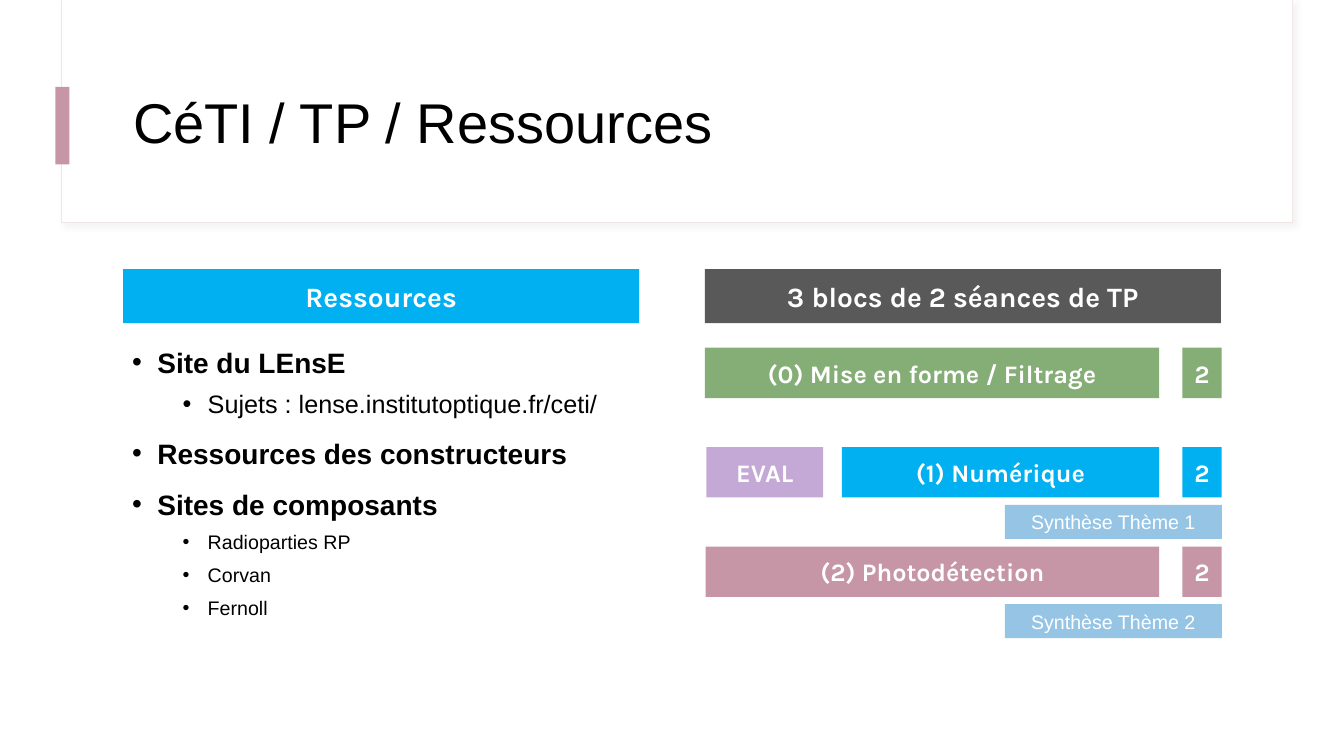
from dataclasses import dataclass
from typing import Any

from lxml.etree import SubElement as Sub
from pptx import Presentation
from pptx.dml.color import RGBColor as Rgb
from pptx.enum.shapes import MSO_SHAPE as Kind
from pptx.enum.text import MSO_ANCHOR as Anchor, MSO_AUTO_SIZE as Fit, PP_ALIGN as Align
from pptx.oxml.ns import qn
from pptx.util import Pt

WHITE, BLACK, GREY = "FFFFFF", "000000", "595959"
BLUE, GREEN, PINK = "00B0F0", "85AD76", "C696A7"


@dataclass
class Box:
    left: float
    top: float
    width: float
    height: float
    fill: str
    text: str = ""
    size: int = 18
    face: str = "Karla"
    bold: bool = True
    alpha: int = 100
    inset: float = 7.2


@dataclass
class Item:
    text: str
    size: int
    level: int = 0


def paint(color: Any, code: str) -> None:
    color.rgb = Rgb.from_string(code)


def apply(target: Any, form: dict[str, Any]) -> None:
    for name, value in form.items():
        setattr(target, name, value)


def style(font: Any, face: str, size: int, bold: bool, code: str) -> None:
    apply(font, {"name": face, "size": Pt(size), "bold": bold})
    paint(font.color, code)


def place(shape: Any, left: float, top: float, width: float, height: float) -> None:
    apply(shape, {"left": Pt(left), "top": Pt(top),
                  "width": Pt(width), "height": Pt(height)})


def fade(color: Any, alpha: int) -> None:
    Sub(color, qn("a:alpha"), val=str(alpha * 1000))


def draw(shapes: Any, box: Box) -> Any:
    shape = shapes.add_shape(Kind.RECTANGLE, Pt(box.left), Pt(box.top),
                             Pt(box.width), Pt(box.height))
    shape.shadow.inherit = False
    shape.fill.solid()
    paint(shape.fill.fore_color, box.fill)
    shape.line.fill.background()
    if box.alpha < 100:
        fade(shape.element.spPr.find(qn("a:solidFill"))[0], box.alpha)
    if box.text:
        frame = shape.text_frame
        apply(frame, {"word_wrap": True, "vertical_anchor": Anchor.MIDDLE,
                      "margin_left": Pt(7.2), "margin_right": Pt(7.2),
                      "margin_top": Pt(box.inset), "margin_bottom": Pt(box.inset)})
        para = frame.paragraphs[0]
        apply(para, {"text": box.text, "alignment": Align.CENTER})
        style(para.runs[0].font, box.face, box.size, box.bold, WHITE)
    return shape


def shade(shape: Any) -> None:
    effects = shape.element.spPr.find(qn("a:effectLst"))
    outer = Sub(effects, qn("a:outerShdw"), blurRad=str(Pt(4)), dist=str(Pt(3)),
                dir="2700000", algn="tl", rotWithShape="0")
    fade(Sub(outer, qn("a:srgbClr"), val="D9D9D9"), 30)


def write(frame: Any, items: list[Item]) -> None:
    for i, item in enumerate(items):
        para = frame.paragraphs[0] if i == 0 else frame.add_paragraph()
        apply(para, {"text": item.text, "level": item.level})
        props = para._p.get_or_add_pPr()
        apply_indent = {"marL": Pt(18 + 36 * item.level), "indent": Pt(-18)}
        for name, value in apply_indent.items():
            props.set(name, str(int(value)))
        Sub(props, qn("a:buFont"), typeface="Arial")
        Sub(props, qn("a:buChar"), char="•")
        before = 0 if i == 0 else 5 if item.level else 10
        apply(para, {"line_spacing": 1.1, "space_before": Pt(before),
                     "space_after": Pt(0), "alignment": Align.LEFT})
        style(para.runs[0].font, "Arial", item.size, item.level == 0, BLACK)


def main() -> None:
    deck = Presentation()
    apply(deck, {"slide_width": Pt(960), "slide_height": Pt(540)})
    slide = deck.slides.add_slide(deck.slide_layouts[1])
    shapes = slide.shapes
    title, body = shapes.title, slide.placeholders[1]

    # Header band, with title and list in front of it
    band = draw(shapes, Box(44, 0, 879, 159, WHITE))
    paint(band.line.color, "F0E5E5")
    band.line.width = Pt(0.75)
    shade(band)
    draw(shapes, Box(44.6, 0, 878.4, 158.4, WHITE))
    draw(shapes, Box(39.6, 62, 10, 55.5, PINK))
    for holder in (title, body):
        shapes.element.append(holder.element)

    # Title
    place(title, 88, 43.2, 800.6, 93)
    apply(title.text_frame, {"text": "CéTI / TP / Ressources", "auto_size": Fit.NONE,
                             "word_wrap": True, "vertical_anchor": Anchor.MIDDLE})
    head = title.text_frame.paragraphs[0]
    apply(head, {"alignment": Align.LEFT, "line_spacing": 0.9})
    style(head.runs[0].font, "Arial", 40, False, BLACK)

    # Left list
    place(body, 87.2, 240.5, 368.6, 291)
    apply(body.text_frame, {"auto_size": Fit.NONE, "word_wrap": True,
                            "vertical_anchor": Anchor.TOP})
    write(body.text_frame, [
        Item("Site du LEnsE", 20),
        Item("Sujets : lense.institutoptique.fr/ceti/", 18, 1),
        Item("Ressources des constructeurs", 20),
        Item("Sites de composants", 20),
        Item("Radioparties RP", 14, 1),
        Item("Corvan", 14, 1),
        Item("Fernoll", 14, 1),
    ])

    # Column heads
    for left, fill, text in ((88, BLUE, "Ressources"),
                             (503.5, GREY, "3 blocs de 2 séances de TP")):
        draw(shapes, Box(left, 192.2, 368.6, 38.6, fill, text, size=20))

    # Lab blocks, each with its count of sessions
    first, step, end = 248.4, 71, 828
    blocks = [(503.5, GREEN, "(0) Mise en forme / Filtrage"),
              (601.4, BLUE, "(1) Numérique"),
              (504, PINK, "(2) Photodétection")]
    for i, (left, fill, text) in enumerate(blocks):
        top = first + i * step
        draw(shapes, Box(left, top, end - left, 36, fill, text))
        draw(shapes, Box(844.6, top, 28, 36, fill, "2"))
        if i:
            draw(shapes, Box(717.8, top + 41.2, 155, 24.3, "0070C0",
                             f"Synthèse Thème {i}", 14, "Arial", False, 41, 3.6))
    draw(shapes, Box(504.5, first + step, 83.5, 36, "7030A0", "EVAL", alpha=41))

    deck.save("out.pptx")


if __name__ == "__main__":
    main()
